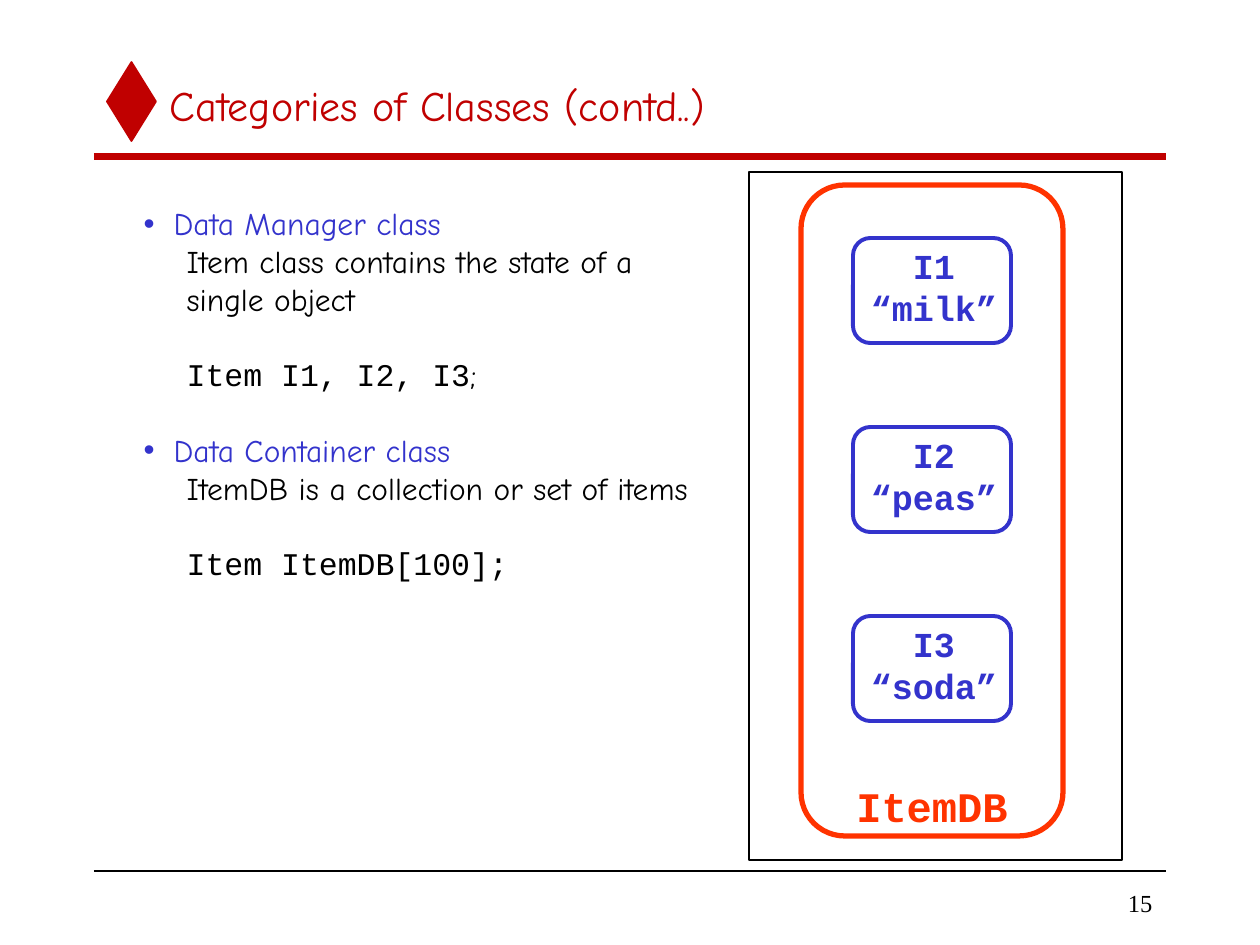
"""Build a slide on manager and container classes."""
from lxml import etree
from pptx import Presentation
from pptx.dml.color import RGBColor
from pptx.enum.shapes import MSO_CONNECTOR, MSO_SHAPE
from pptx.enum.text import MSO_ANCHOR, MSO_AUTO_SIZE, PP_ALIGN
from pptx.oxml.ns import qn
from pptx.util import Emu, Pt

PIXEL = 914400 // 126
RED = RGBColor(0xC0, 0x00, 0x00)
BLUE = RGBColor(0x33, 0x33, 0xCC)
ORANGE = RGBColor(0xFF, 0x33, 0x00)
BLACK = RGBColor(0x00, 0x00, 0x00)
WHITE = RGBColor(0xFF, 0xFF, 0xFF)
COMIC, CODE, SERIF = "Comic Neue", "Courier New", "Times New Roman"
LEFT, CENTER, RIGHT = PP_ALIGN.LEFT, PP_ALIGN.CENTER, PP_ALIGN.RIGHT
TOP, MIDDLE = MSO_ANCHOR.TOP, MSO_ANCHOR.MIDDLE
STRAIGHT, FIXED = MSO_CONNECTOR.STRAIGHT, MSO_AUTO_SIZE.NONE
DIAMOND, RECT, ROUND = MSO_SHAPE.DIAMOND, MSO_SHAPE.RECTANGLE, MSO_SHAPE.ROUNDED_RECTANGLE

HEAD, NOTE, SAMPLE = "head", "note", "sample"
POINTS = [
    (HEAD, 0, ["Data Manager class"]),
    (NOTE, 0, ["Item class contains the state of a"]),
    (NOTE, 0, ["single object"]),
    (SAMPLE, 21.6, ["Item I1, I2, I3", ";"]),
    (HEAD, 21.6, ["Data Container class"]),
    (NOTE, 0, ["ItemDB is a collection or set of items"]),
    (SAMPLE, 21.6, ["Item ItemDB[100];"]),
]
ITEMS = [("I1", "“milk”"), ("I2", "“peas”"), ("I3", "“soda”")]


def px(*lengths):
    """Turn pixels into EMU."""
    return [Emu(length * PIXEL) for length in lengths]


def style(font, name, size, color, bold=False):
    """Set the look of a font."""
    font.name, font.size, font.bold = name, Pt(size), bold
    font.color.rgb = color


def place(shape, box):
    """Move a placeholder to a box."""
    shape.left, shape.top, shape.width, shape.height = px(*box)


def frame(shape, anchor, wrap=True):
    """Give a text frame a fixed size and an anchor."""
    text = shape.text_frame
    text.auto_size, text.vertical_anchor, text.word_wrap = FIXED, anchor, wrap
    return text


def add_line(slide, y, color, width):
    """Draw a level rule across the slide."""
    line = slide.shapes.add_connector(STRAIGHT, *px(94, y, 1166, y))
    line.line.color.rgb, line.line.width = color, Pt(width)
    etree.SubElement(line._element.spPr, qn("a:effectLst"))


def add_form(slide, kind, box, color, width, fill=None):
    """Draw a preset shape, hollow unless a fill is given."""
    form = slide.shapes.add_shape(kind, *px(*box))
    form.shadow.inherit = False
    form.line.color.rgb, form.line.width = color, Pt(width)
    if fill is None:
        form.fill.background()
    else:
        form.fill.solid()
        form.fill.fore_color.rgb = fill
    return form


def add_label(slide, words, box, align, font):
    """Add one line of text."""
    label = slide.shapes.add_textbox(*px(*box))
    par = frame(label, MIDDLE).paragraphs[0]
    par.text, par.alignment = words, align
    style(par.font, *font)


def add_item(slide, words, y):
    """Draw one data item with its name and value."""
    form = add_form(slide, ROUND, (853, y, 158, 105), BLUE, 2.24)
    text = frame(form, TOP)
    text.margin_left, text.margin_top, text.margin_right, text.margin_bottom = px(4, 1, 0, 0)
    text.text = "\n".join(words)
    for par in text.paragraphs:
        par.alignment = CENTER
        style(par.font, CODE, 20, BLUE, True)


def set_bullet(par, shown):
    """Indent a paragraph and show or hide its bullet."""
    props = par._p.get_or_add_pPr()
    left, hang = px(30, -30) if shown else px(43, 0)
    props.set("marL", str(left))
    props.set("indent", str(hang))
    if shown:
        etree.SubElement(props, qn("a:buChar"), char="•")
    else:
        etree.SubElement(props, qn("a:buNone"))


def fill_title(title):
    """Write the title."""
    place(title, (157, 63, 1008, 84))
    par = frame(title, MIDDLE).paragraphs[0]
    par.text, par.alignment = "Categories of Classes (contd..)", LEFT
    style(par.font, COMIC, 24, RED)


def fill_body(body):
    """Write the list of class kinds."""
    place(body, (131, 198, 600, 391))
    text = frame(body, TOP)
    for count, (kind, gap, parts) in enumerate(POINTS):
        par = text.add_paragraph() if count else text.paragraphs[0]
        par.alignment, par.space_before = LEFT, Pt(gap)
        set_bullet(par, kind == HEAD)
        name = CODE if kind == SAMPLE else COMIC
        style(par.font, name, 18, BLUE if kind == HEAD else BLACK)
        for part in parts:
            run = par.add_run()
            run.text = part
            style(run.font, COMIC if part == ";" else name, 18, par.font.color.rgb)


def main():
    """Build and save the slide."""
    deck = Presentation()
    deck.slide_width, deck.slide_height = px(1260, 945)
    slide = deck.slides.add_slide(deck.slide_layouts[1])
    fill_title(slide.shapes.title)
    fill_body(slide.placeholders[1])
    add_form(slide, DIAMOND, (107, 62, 49, 79), RED, 0.99, RED)
    add_line(slide, 157, RED, 4)
    add_line(slide, 871, BLACK, 0.99)
    add_label(slide, "15", (987, 882, 178, 42), RIGHT, (SERIF, 14, BLACK))
    add_form(slide, RECT, (749, 172, 373, 688), BLACK, 0.99, WHITE)
    add_form(slide, ROUND, (801, 185, 262, 651), ORANGE, 3)
    for row, words in enumerate(ITEMS):
        add_item(slide, words, 238 + 189 * row)
    add_label(slide, "ItemDB", (843, 774, 178, 63), CENTER, (CODE, 24, ORANGE, True))
    deck.save("out.pptx")


main()
